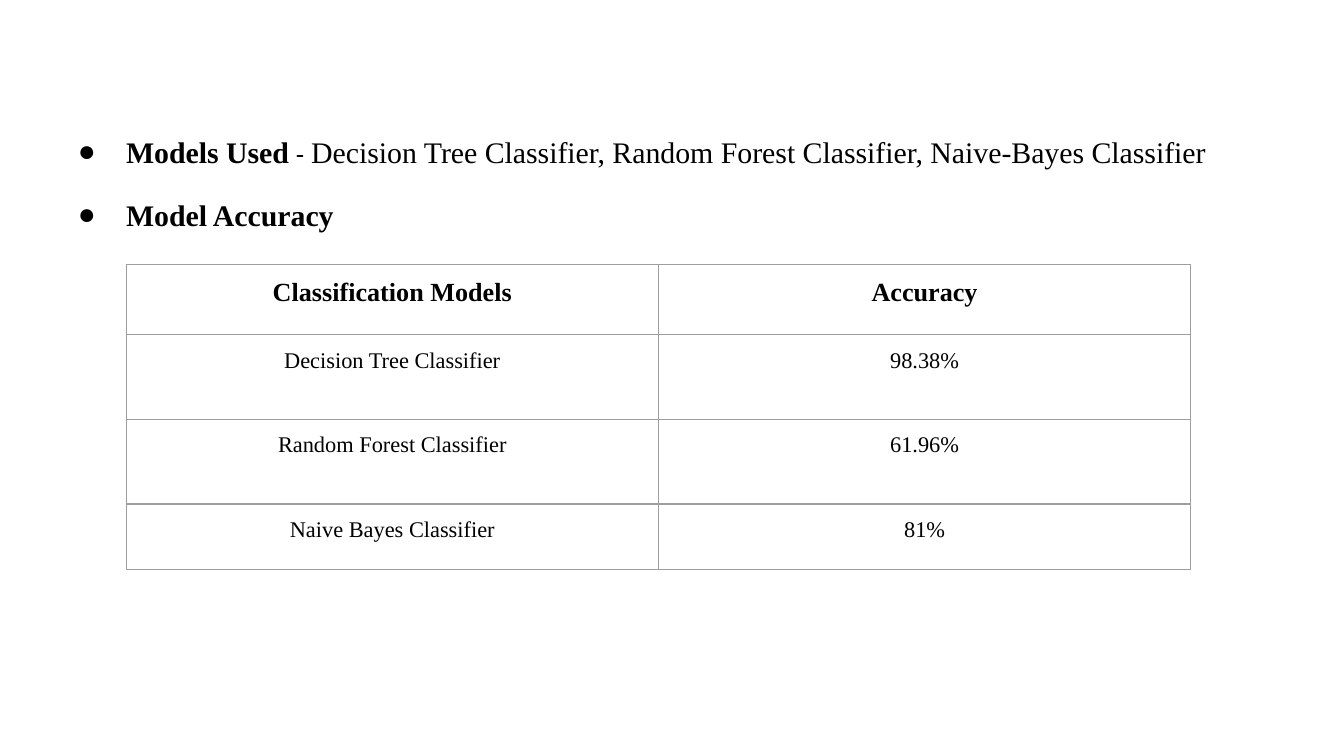
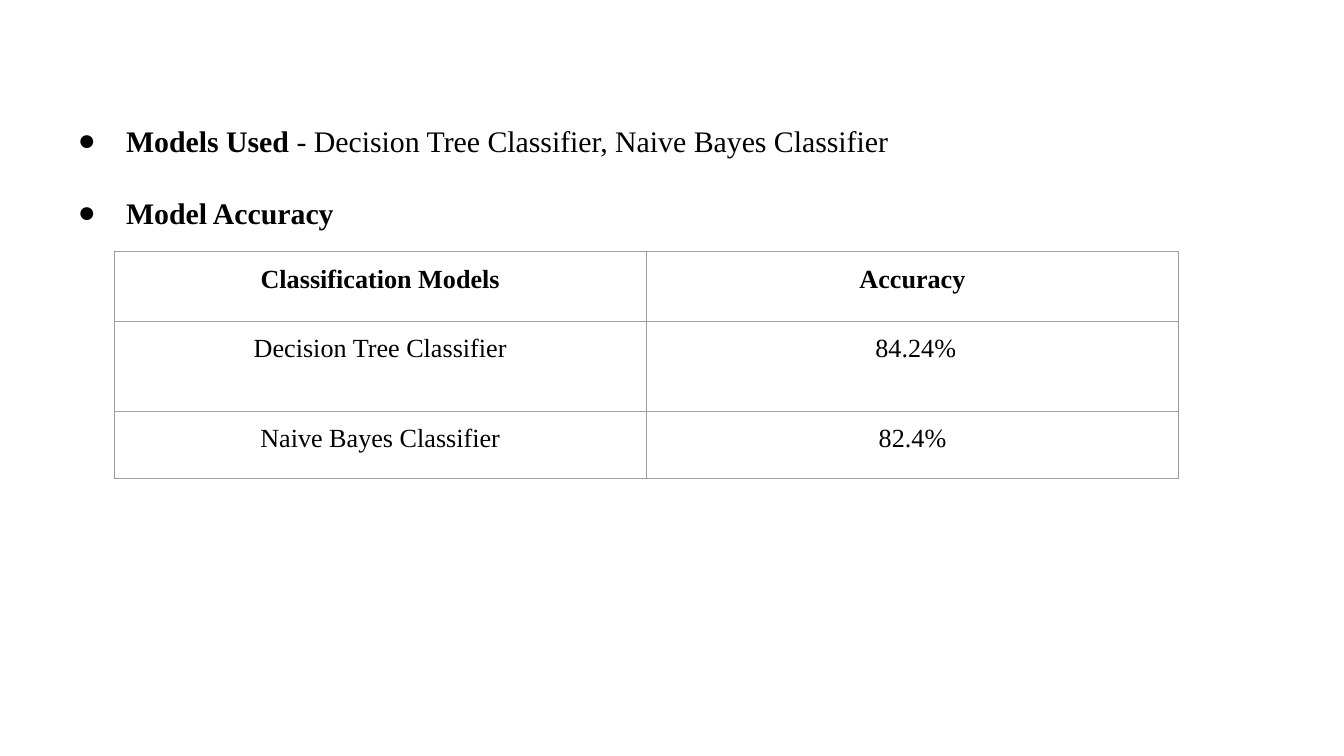
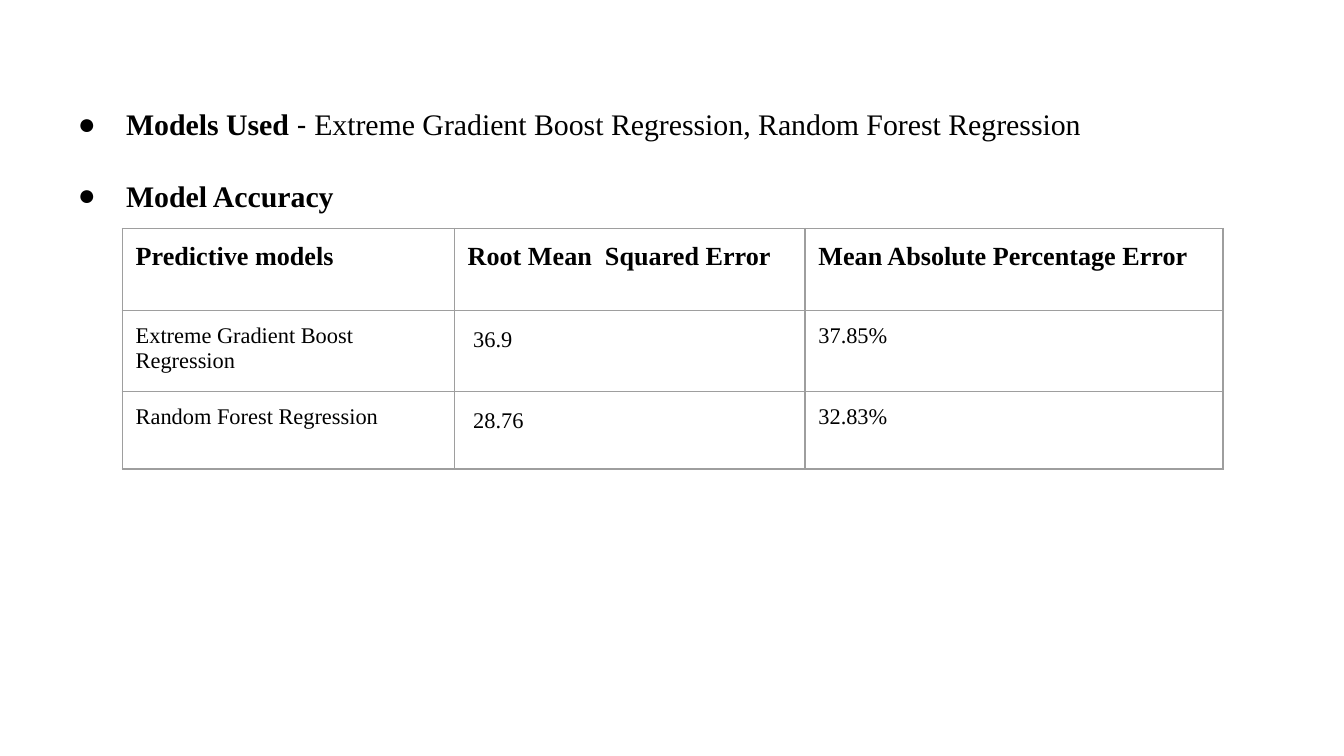
from lxml import etree
from pptx import Presentation
from pptx import util as u
from pptx.dml.color import RGBColor
from pptx.enum import text
from pptx.oxml import ns

SERIF, SANS = "Times New Roman", "Open Sans"
BLACK, GRID = "000000", "9E9E9E"
BODY_LEFT, BODY_WIDTH, INSET = 0.34, 9.31, 0.1
CENTER, LEFT, JUSTIFY = text.PP_ALIGN.CENTER, text.PP_ALIGN.LEFT, text.PP_ALIGN.JUSTIFY


def style(r, size, bold=False, font=SERIF, color=BLACK):
    r.font.size, r.font.bold, r.font.name = u.Pt(size), bold, font
    r.font.color.rgb = RGBColor.from_string(color)


def add_xml(parent, tag, **attrs):
    return etree.SubElement(parent, ns.qn(tag), attrs)


# Per slide: body box, first line offset, gap between bullets, dash, models, table
slides = [
    dict(top=0.09, height=4.44, offset=1.17, gap=14.5, dash=(SANS, 14),
         models="Decision Tree Classifier, Random Forest Classifier, Naive-Bayes Classifier",
         at=(0.94, 1.97), cols=[3.96, 3.96], rows=[0.52, 0.63, 0.63, 0.49],
         size=12, aligns=[CENTER, CENTER],
         cells=[["Classification Models", "Accuracy"],
                ["Decision Tree Classifier", "98.38%"],
                ["Random Forest Classifier", "61.96%"],
                ["Naive Bayes Classifier", "81%"]]),
    dict(top=0.34, height=4.07, offset=0.57, gap=19.5, dash=(SERIF, 16),
         models="Decision Tree Classifier, Naive Bayes Classifier",
         at=(0.85, 1.87), cols=[3.96, 3.96], rows=[0.52, 0.67, 0.5],
         size=14, aligns=[CENTER, CENTER],
         cells=[["Classification Models", "Accuracy"],
                ["Decision Tree Classifier", " 84.24%"],
                ["Naive Bayes Classifier", "82.4%"]]),
    dict(top=0.09, height=5.39, offset=0.7, gap=19, dash=(SANS, 16),
         models="Extreme Gradient Boost Regression, Random Forest Regression",
         at=(0.91, 1.7), cols=[2.47, 2.61, 3.11], rows=[0.61, 0.6, 0.58],
         size=12, aligns=[LEFT, JUSTIFY, LEFT],
         cells=[["Predictive models", "Root Mean  Squared Error",
                 "Mean Absolute Percentage Error"],
                ["Extreme Gradient Boost Regression", " 36.9", "37.85%"],
                ["Random Forest Regression", " 28.76", "32.83%"]]),
]

# 16:9 page, 10 inches wide
prs = Presentation()
prs.slide_width = u.Inches(10)
prs.slide_height = u.Inches(10 * 9 / 16)

for d in slides:
    s = prs.slides.add_slide(prs.slide_layouts[6])

    # Bulleted body
    sp = s.shapes.add_textbox(u.Inches(BODY_LEFT), u.Inches(d["top"]),
                              u.Inches(BODY_WIDTH), u.Inches(d["height"]))
    tf = sp.text_frame
    tf.word_wrap = True
    tf.margin_left = tf.margin_right = tf.margin_bottom = u.Inches(INSET)
    tf.margin_top = u.Inches(d["offset"])
    dash_font, dash_size = d["dash"]
    bullets = [
        [("Models Used", 16, True, SERIF), (" - ", dash_size, False, dash_font),
         (d["models"], 16, False, SERIF)],
        [("Model Accuracy", 16, True, SERIF)],
    ]
    for i, runs in enumerate(bullets):
        p = tf.add_paragraph() if i else tf.paragraphs[0]
        p.space_before = u.Pt(d["gap"] if i else 0)
        pPr = p._p.get_or_add_pPr()
        pPr.set("marL", str(u.Inches(0.5)))
        pPr.set("indent", str(u.Inches(-0.36)))
        add_xml(add_xml(pPr, "a:buClr"), "a:srgbClr", val=BLACK)
        add_xml(pPr, "a:buFont", typeface=SERIF)
        add_xml(pPr, "a:buChar", char="●")
        for words, size, bold, font in runs:
            r = p.add_run()
            r.text = words
            style(r, size, bold, font)

    # Results table
    left, top = d["at"]
    table = s.shapes.add_table(len(d["rows"]), len(d["cols"]), u.Inches(left), u.Inches(top),
                               u.Inches(sum(d["cols"])), u.Inches(sum(d["rows"]))).table
    table.first_row = table.horz_banding = False
    for col, width in zip(table.columns, d["cols"]):
        col.width = u.Inches(width)
    for row, height in zip(table.rows, d["rows"]):
        row.height = u.Inches(height)

    for i, values in enumerate(d["cells"]):
        for j, value in enumerate(values):
            cell = table.cell(i, j)
            cell.margin_left = cell.margin_right = u.Inches(INSET)
            cell.margin_top = cell.margin_bottom = u.Inches(INSET)
            tcPr = cell._tc.get_or_add_tcPr()
            for side in "LRTB":
                ln = add_xml(tcPr, f"a:ln{side}", w=str(u.Pt(0.75)))
                add_xml(add_xml(ln, "a:solidFill"), "a:srgbClr", val=GRID)
            cell.fill.background()
            p = cell.text_frame.paragraphs[0]
            p.text = value
            p.alignment = d["aligns"][j]
            if p.alignment == JUSTIFY:
                if i:
                    p.line_spacing = 1.15
                else:
                    p.alignment = LEFT
            style(p.runs[0], d["size"] if i else 14, bold=i == 0)

prs.save("out.pptx")
